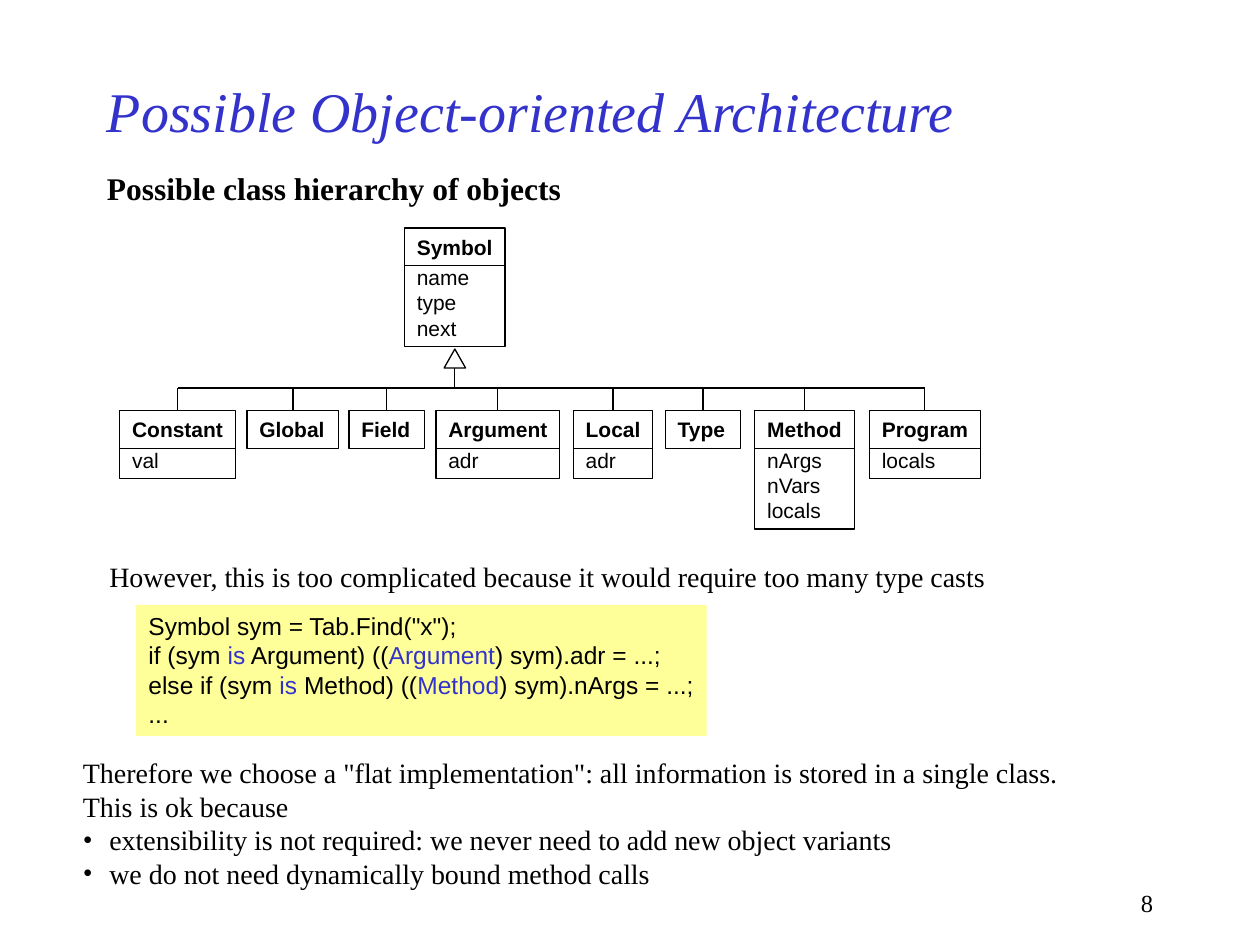
from lxml import etree
from pptx import Presentation
from pptx.dml.color import RGBColor
from pptx.enum.shapes import MSO_CONNECTOR, MSO_SHAPE
from pptx.enum.text import MSO_ANCHOR, MSO_AUTO_SIZE, PP_ALIGN
from pptx.oxml.ns import qn
from pptx.util import Inches, Pt

BLACK, BLUE, YELLOW = "000000", "3333CC", "FFFF99"
SERIF, SANS = "Times New Roman", "Arial"
CHILD_TOP, BUS_Y = 3.26, 3.08

# name, members, left, width
CHILDREN = [
    ("Constant", ["val"], 0.95, 0.92),
    ("Global", [], 1.96, 0.73),
    ("Field", [], 2.77, 0.6),
    ("Argument", ["adr"], 3.46, 0.98),
    ("Local", ["adr"], 4.55, 0.63),
    ("Type", [], 5.28, 0.6),
    ("Method", ["nArgs", "nVars", "locals"], 5.99, 0.79),
    ("Program", ["locals"], 6.9, 0.88),
]

# Each code line is a list of (text, colour) runs
CODE = [
    [('Symbol sym = Tab.Find("x");', BLACK)],
    [("if (sym ", BLACK), ("is", BLUE), (" Argument) ((", BLACK),
     ("Argument", BLUE), (") sym).adr = ...;", BLACK)],
    [("else if (sym ", BLACK), ("is", BLUE), (" Method) ((", BLACK),
     ("Method", BLUE), (") sym).nArgs = ...;", BLACK)],
    [("...", BLACK)],
]


def color(value):
    return RGBColor.from_string(value)


def set_font(font, name, size, value=BLACK, bold=False, italic=False):
    font.name, font.size = name, Pt(size)
    font.bold, font.italic = bold, italic
    font.color.rgb = color(value)


def add_paragraphs(frame, count):
    """Return count empty, left-aligned paragraphs of the frame."""
    paragraphs = [frame.paragraphs[0]]
    paragraphs += [frame.add_paragraph() for _ in range(count - 1)]
    for paragraph in paragraphs:
        paragraph.alignment = PP_ALIGN.LEFT
    return paragraphs


def add_box(slide, box, preset=MSO_SHAPE.RECTANGLE, fill=None, line=BLACK):
    shape = slide.shapes.add_shape(preset, *map(Inches, box))
    shape.shadow.inherit = False
    if fill:
        shape.fill.solid()
        shape.fill.fore_color.rgb = color(fill)
    else:
        shape.fill.background()
    if line:
        shape.line.color.rgb = color(line)
        shape.line.width = Pt(0.75)
    else:
        shape.line.fill.background()
    # No right margin, so that tight boxes keep each line whole
    frame = shape.text_frame
    frame.vertical_anchor = MSO_ANCHOR.TOP
    frame.auto_size = MSO_AUTO_SIZE.NONE
    frame.word_wrap = True
    frame.margin_right = Inches(0)
    return shape


def add_line(slide, x1, y1, x2, y2):
    line = slide.shapes.add_connector(
        MSO_CONNECTOR.STRAIGHT, *map(Inches, (x1, y1, x2, y2)))
    line.line.color.rgb = color(BLACK)
    line.line.width = Pt(0.75)
    etree.SubElement(line._element.spPr, qn("a:effectLst"))
    return line


def add_label(slide, box, text, size, wrap=False, **style):
    frame = slide.shapes.add_textbox(*map(Inches, box)).text_frame
    frame.word_wrap = wrap
    paragraph = add_paragraphs(frame, 1)[0]
    paragraph.text = text
    set_font(paragraph.font, SERIF, size, **style)
    return frame


def add_class(slide, left, top, width, name, members):
    """A class box: bold name, then a rule and the members, if any."""
    height = 0.34 + 0.2 * len(members) if members else 0.3
    shape = add_box(slide, (left, top, width, height))
    paragraphs = add_paragraphs(shape.text_frame, 1 + len(members))
    for paragraph, text in zip(paragraphs, [name] + members):
        paragraph.text = text
        set_font(paragraph.font, SANS, 12, bold=text == name)
    paragraphs[0].space_after = Pt(3)
    if members:
        add_line(slide, left, top + 0.3, left + width, top + 0.3)
    return shape


def add_hierarchy(slide):
    # Base class with its inheritance arrow
    left, top, width = 3.21, 1.81, 0.8
    add_class(slide, left, top, width, "Symbol", ["name", "type", "next"])
    center = left + width / 2
    add_box(slide, (center - 0.085, 2.77, 0.17, 0.15), MSO_SHAPE.ISOSCELES_TRIANGLE)
    add_line(slide, center, 2.92, center, BUS_Y)

    # Subclasses, each with a branch up to the shared line
    centers = []
    for name, members, left, width in CHILDREN:
        shape = add_class(slide, left, CHILD_TOP, width, name, members)
        center = left + width / 2
        branch = add_line(slide, center, CHILD_TOP, center, BUS_Y)
        branch.begin_connect(shape, 0)
        centers.append(center)
    add_line(slide, centers[0], BUS_Y, centers[-1], BUS_Y)


def add_code(slide, box):
    frame = add_box(slide, box, fill=YELLOW, line=None).text_frame
    for paragraph, runs in zip(add_paragraphs(frame, len(CODE)), CODE):
        for text, value in runs:
            run = paragraph.add_run()
            run.text = text
            set_font(run.font, SANS, 14, value)


def add_conclusion(slide, box):
    lines = [
        ('Therefore we choose a "flat implementation": '
         "all information is stored in a single class.", False),
        ("This is ok because", False),
        ("extensibility is not required: we never need to add new object variants", True),
        ("we do not need dynamically bound method calls", True),
    ]
    frame = slide.shapes.add_textbox(*map(Inches, box)).text_frame
    frame.word_wrap = True
    for paragraph, (text, bulleted) in zip(add_paragraphs(frame, len(lines)), lines):
        paragraph.text = text
        properties = paragraph._p.get_or_add_pPr()
        properties.set("marL", str(Inches(0.21)))
        properties.set("indent", str(-Inches(0.21)))
        if bulleted:
            etree.SubElement(properties, qn("a:buFont"), typeface=SERIF)
            etree.SubElement(properties, qn("a:buChar"), char="•")
        set_font(paragraph.font, SERIF, 16)


def main():
    presentation = Presentation()
    presentation.slide_width, presentation.slide_height = Inches(10), Inches(7.5)
    slide = presentation.slides.add_slide(presentation.slide_layouts[6])

    # Headings
    title = add_label(slide, (0.75, 0.5, 7.5, 0.75), "Possible Object-oriented Architecture",
                      32, wrap=True, value=BLUE, italic=True)
    title.vertical_anchor = MSO_ANCHOR.MIDDLE
    add_label(slide, (0.75, 1.29, 3.81, 0.4), "Possible class hierarchy of objects",
              18, bold=True)

    # Class diagram
    add_hierarchy(slide)

    # Objection with code
    add_label(slide, (0.77, 4.39, 7.16, 0.37),
              "However, this is too complicated because it would require too many type casts", 16)
    add_code(slide, (1.08, 4.8, 4.53, 1.04))

    # Conclusion and page number
    add_conclusion(slide, (0.56, 5.95, 8.35, 1.17))
    number = add_label(slide, (7.17, 7, 2.08, 0.33), "8", 14, wrap=True)
    number.paragraphs[0].alignment = PP_ALIGN.RIGHT

    presentation.save("out.pptx")


if __name__ == "__main__":
    main()
